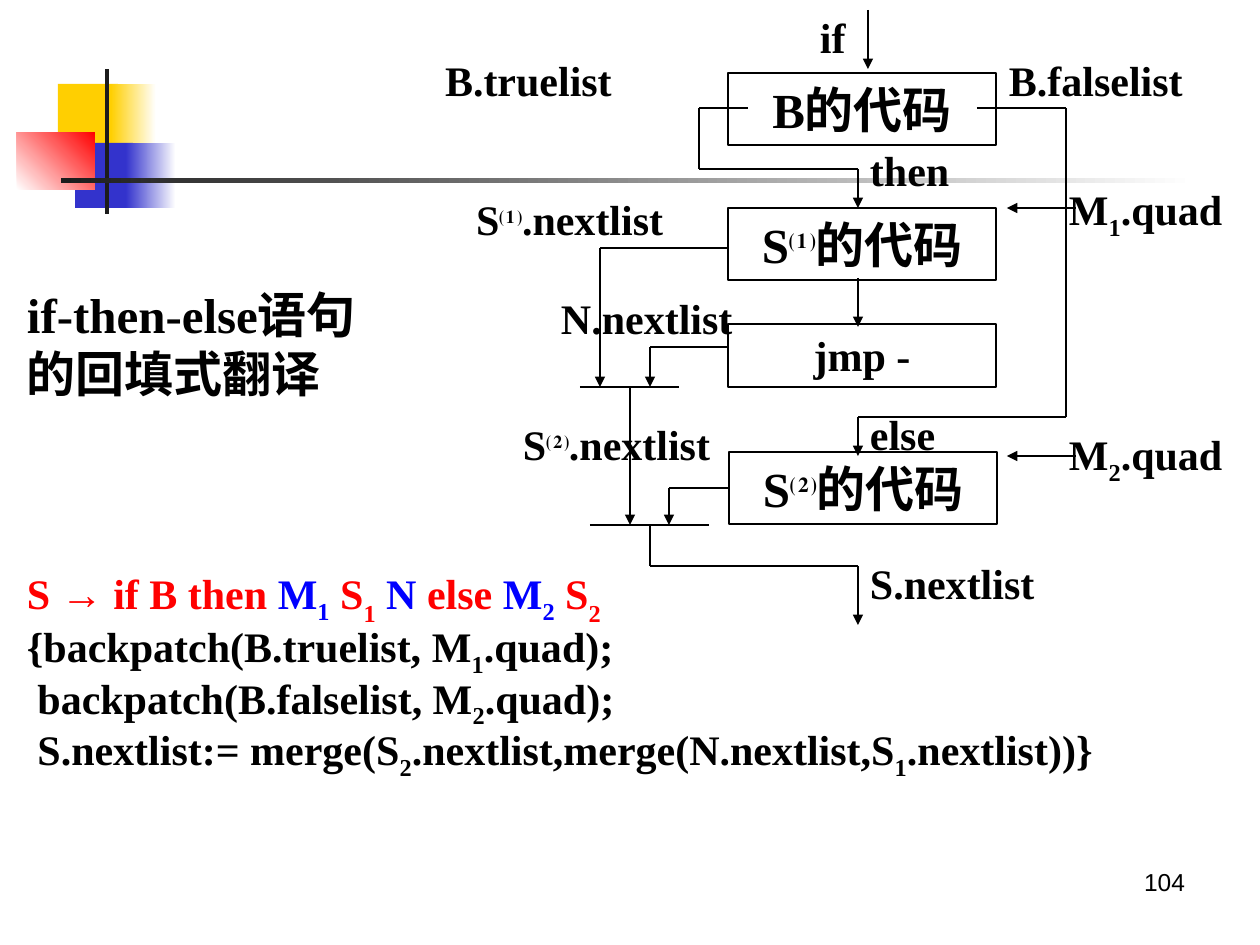
import pptx
import pptx.dml.color
import pptx.enum.shapes
import pptx.enum.text
import pptx.oxml.ns
import pptx.util
from lxml import etree

SCALE = 914400 / 126
ALIGN = pptx.enum.text.PP_ALIGN
ANCHOR = pptx.enum.text.MSO_ANCHOR
SERIF = "Times New Roman"
BLACK, RED, BLUE = "000000", "FF0000", "0000FF"
SUB, LOW, SUPER = -25, -30, 30


def emu(px):
    """Turn px into EMU."""
    return pptx.util.Emu(round(px * SCALE))


def colour(value):
    """Turn a hex string into a colour."""
    return pptx.dml.color.RGBColor.from_string(value)


def add_rect(slide, left, top, width, height):
    """Add a rectangle without shadow."""
    rect = slide.shapes.add_shape(
        pptx.enum.shapes.MSO_SHAPE.RECTANGLE, emu(left), emu(top), emu(width), emu(height))
    rect.shadow.inherit = False
    return rect


def add_box(slide, left, top, width, height):
    """Add an empty text box."""
    return slide.shapes.add_textbox(emu(left), emu(top), emu(width), emu(height))


def write(shape, lines, size, align=ALIGN.LEFT, anchor=ANCHOR.TOP, font=SERIF,
          bold=True, spacing=None):
    """Write lines, each a list of (text, baseline, colour) with the last two optional."""
    frame = shape.text_frame
    frame.word_wrap = True
    frame.vertical_anchor = anchor
    frame.margin_left = frame.margin_right = emu(12)
    frame.margin_top = frame.margin_bottom = emu(6)
    for number, line in enumerate(lines):
        paragraph = frame.add_paragraph() if number else frame.paragraphs[0]
        paragraph.alignment = align
        if spacing:
            paragraph.line_spacing = spacing
        paragraph.font.name = font
        paragraph.font.size = pptx.util.Pt(size)
        paragraph.font.bold = bold
        paragraph.font.color.rgb = colour(BLACK)
        for text, *style in line:
            if text == "\n":
                paragraph.add_line_break()
                continue
            baseline, ink = style + [0, BLACK][len(style):]
            run = paragraph.add_run()
            run.text = text
            if baseline:
                run._r.get_or_add_rPr().set("baseline", str(baseline * 1000))
            if ink != BLACK:
                run.font.color.rgb = colour(ink)


def add_route(slide, points, arrow=True, source=None):
    """Join points with straight lines, the last one with an arrowhead."""
    for number, (start, end) in enumerate(zip(points, points[1:])):
        line = slide.shapes.add_connector(
            pptx.enum.shapes.MSO_CONNECTOR.STRAIGHT, *map(emu, start + end))
        if source is not None and number == 0:
            line.begin_connect(source, 1)
        line.line.color.rgb = colour(BLACK)
        line.line.width = pptx.util.Pt(0.75)
        etree.SubElement(line._element.spPr, pptx.oxml.ns.qn("a:effectLst"))
        if arrow and number == len(points) - 2:
            etree.SubElement(line.line._get_or_add_ln(),
                             pptx.oxml.ns.qn("a:tailEnd"), type="triangle")


def draw_ornament(slide, left, top):
    """Draw the coloured squares and the fading rule."""
    for x, y, width, height, colours, angle in [
        (41, 15, 60, 66, ["FFCF01"], 0),
        (94, 15, 45, 66, ["FFCF01", "FFFFFF"], 0),
        (58, 74, 58, 65, ["3333CC"], 0),
        (109, 74, 50, 65, ["3333CC", "FFFFFF"], 0),
        (0, 63, 78, 58, ["FFFFFF", "FF0000"], 45),
        (88, 0, 4, 145, ["1C1C1C"], 0),
        (44, 109, 1134, 5, ["1C1C1C", "FFFFFF"], 0),
    ]:
        piece = add_rect(slide, left + x, top + y, width, height)
        piece.line.fill.background()
        if len(colours) == 1:
            piece.fill.solid()
            piece.fill.fore_color.rgb = colour(colours[0])
        else:
            piece.fill.gradient()
            piece.fill.gradient_angle = angle
            for stop, value in zip(piece.fill.gradient_stops, colours):
                stop.color.rgb = colour(value)


def draw_flow(slide, left, top):
    """Draw the code blocks, the jump routes and their labels."""
    blocks = []
    for x, y, height, size, runs in [
        (308, 73, 72, 28, [("B的代码",)]),
        (308, 208, 72, 28, [("S",), ("⑴", SUPER), ("的代码",)]),
        (308, 324, 63, 24, [("jmp -",)]),
        (309, 452, 72, 28, [("S",), ("⑵", SUPER), ("的代码",)]),
    ]:
        block = add_rect(slide, left + x, top + y, 268, height)
        block.fill.background()
        block.line.color.rgb = colour(BLACK)
        block.line.width = pptx.util.Pt(0.75)
        write(block, [runs], size, ALIGN.CENTER)
        blocks.append(block)

    for points, arrow, source in [
        ([(448, 10), (448, 69)], True, None),
        ([(328, 108), (279, 108), (279, 169), (438, 169), (438, 208)], True, None),
        ([(557, 108), (646, 108), (646, 417), (438, 417), (438, 456)], True, None),
        ([(438, 278), (438, 327)], True, None),
        ([(309, 248), (180, 248), (180, 387)], True, None),
        ([(309, 347), (230, 347), (230, 387)], True, None),
        ([(160, 387), (259, 387)], False, None),
        ([(210, 387), (210, 525)], True, None),
        ([(309, 488), (249, 488), (249, 525)], True, blocks[3]),
        ([(170, 525), (289, 525)], False, None),
        ([(230, 525), (230, 566), (438, 566), (438, 625)], True, None),
        ([(656, 208), (587, 208)], True, None),
        ([(656, 456), (587, 456)], True, None),
    ]:
        add_route(slide, [(left + x, top + y) for x, y in points], arrow, source)

    for x, y, width, runs in [
        (388, 6, 69, [("if",)]),
        (13, 49, 296, [("B.truelist",)]),
        (577, 49, 263, [("B.falselist",)]),
        (438, 139, 149, [("then",)]),
        (44, 188, 295, [("S",), ("⑴", SUPER), (".nextlist",)]),
        (637, 178, 203, [("M",), ("1", SUB), (".quad",)]),
        (129, 287, 260, [("N.nextlist",)]),
        (438, 403, 149, [("else",)]),
        (91, 413, 315, [("S",), ("⑵", SUPER), (".nextlist",)]),
        (637, 423, 203, [("M",), ("2", SUB), (".quad",)]),
        (438, 552, 199, [("S.nextlist",)]),
    ]:
        write(add_box(slide, left + x, top + y, width, 63), [runs], 24)


def write_title(slide, left, top, width, height):
    """Write the slide title."""
    write(add_box(slide, left, top, width, height),
          [[("if-then-else语句",), ("\n",), ("的回填式翻译",)]], 28, anchor=ANCHOR.MIDDLE)


def write_rule(slide, left, top, width, height):
    """Write the production and its semantic actions."""
    production = [
        ("S ", 0, RED), ("→", 0, RED), (" if B then ", 0, RED),
        ("M", 0, BLUE), ("1", SUB, BLUE), (" S", 0, RED), ("1", LOW, RED),
        (" N", 0, BLUE), (" else ", 0, RED),
        ("M", 0, BLUE), ("2", SUB, BLUE), (" S", 0, RED), ("2", LOW, RED)]
    actions = [
        [("{backpatch(B.truelist, M",), ("1", SUB), (".quad);",)],
        [(" backpatch(B.falselist, M",), ("2", SUB), (".quad);",)],
        [(" S.nextlist:= merge(S",), ("2", SUB), (".nextlist,merge(N.nextlist,S",),
         ("1", SUB), (".nextlist))}",)]]
    box = add_box(slide, left, top, width, height)
    write(box, [production] + actions, 24, ALIGN.JUSTIFY, spacing=0.9)
    box.text_frame.paragraphs[0].runs[1].font.name = "Arial"


def main():
    """Build the slide and save it."""
    deck = pptx.Presentation()
    deck.slide_width, deck.slide_height = emu(1260), emu(945)
    slide = deck.slides.add_slide(deck.slide_layouts[6])
    draw_ornament(slide, 17, 69)
    write(add_box(slide, 903, 861, 294, 66), [[("104",)]], 14, ALIGN.RIGHT,
          font="Arial", bold=False)
    write_title(slide, 15, 254, 517, 179)
    write_rule(slide, 15, 562, 1245, 318)
    draw_flow(slide, 420, 0)
    deck.save("out.pptx")


if __name__ == "__main__":
    main()
